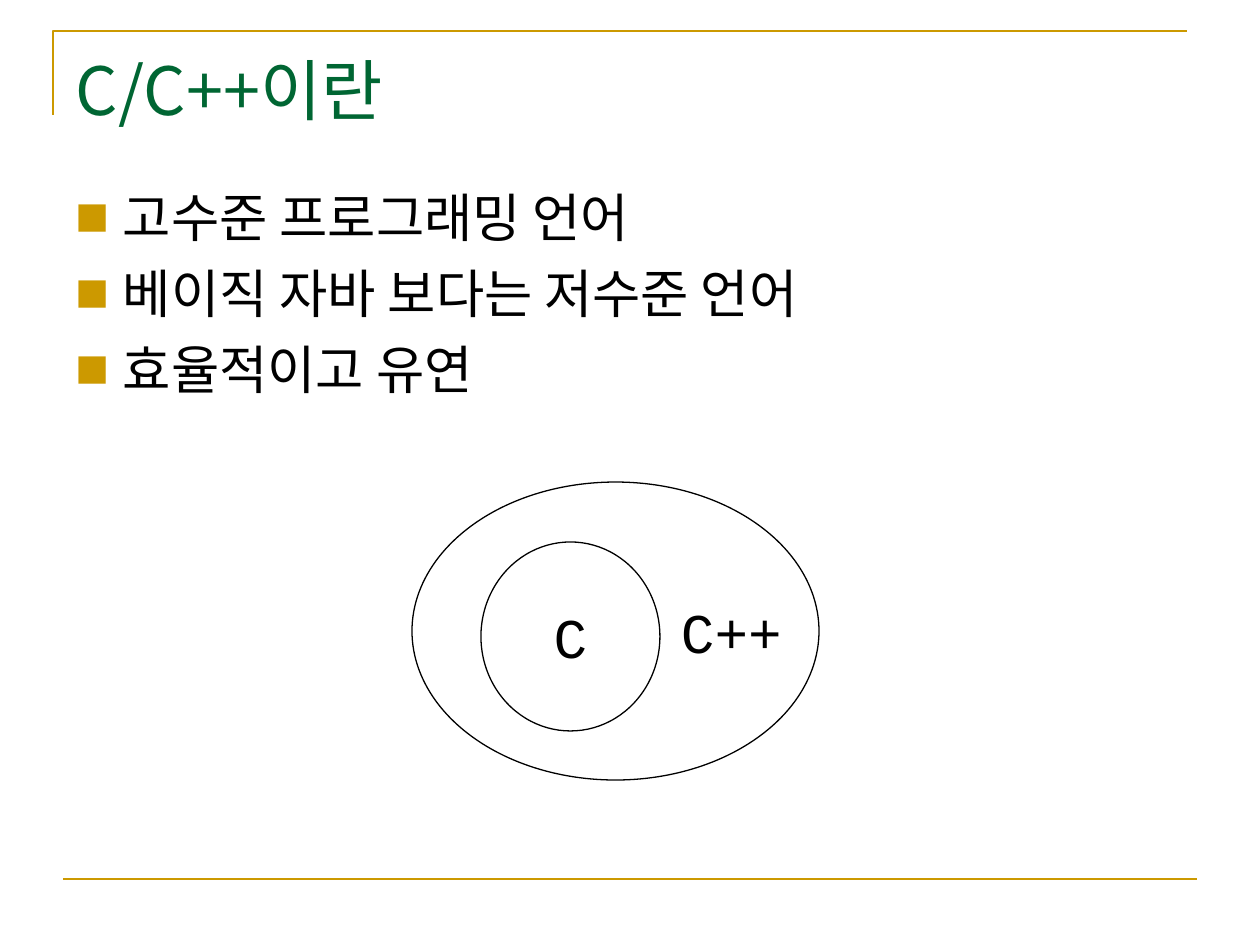
from lxml import etree
from pptx import Presentation
from pptx.dml.color import RGBColor
from pptx.enum.shapes import MSO_CONNECTOR, MSO_SHAPE
from pptx.enum.text import MSO_ANCHOR, PP_ALIGN
from pptx.oxml.ns import qn
from pptx.util import Emu, Pt

STRAIGHT, OVAL = MSO_CONNECTOR.STRAIGHT, MSO_SHAPE.OVAL
TOP, MIDDLE, BOTTOM = MSO_ANCHOR.TOP, MSO_ANCHOR.MIDDLE, MSO_ANCHOR.BOTTOM
LEFT, CENTER = PP_ALIGN.LEFT, PP_ALIGN.CENTER

# Content
TITLE = "C/C++이란"
POINTS = ["고수준 프로그래밍 언어", "베이직 자바 보다는 저수준 언어", "효율적이고 유연"]
# label, box, left inset (moves the outer label clear of the inner set)
SETS = [
    ("C", (481, 542, 179, 189), 13),
    ("C++", (412, 482, 407, 298), 245),
]

# Layout in px
SLIDE = (1260, 945)
CORNER = [(53, 115), (53, 31), (1187, 31)]
FOOT_RULE = (63, 879, 1197, 879)
TITLE_BOX = (63, 38, 1172, 97)
BODY_BOX = (63, 185, 1172, 694)
INSET_X, INSET_Y, HANGING = 13, 6, 47

THEME = {
    "gold": RGBColor(0xCC, 0x99, 0x00),
    "green": RGBColor(0x00, 0x66, 0x33),
    "black": RGBColor(0, 0, 0),
    "sans": "Noto Sans CJK KR",
    "mono": "Courier New",
    "title": 38, "body": 30, "label": 32,
    "rule": 1.5, "outline": 0.75,
}


def px(n):
    return Emu(n * 914400 // 126)


def set_line(s, color, width):
    s.line.color.rgb = THEME[color]
    s.line.width = Pt(THEME[width])


def set_frame(tf, **values):
    for name, value in values.items():
        setattr(tf, name, value)


def write(p, text, size, font, color, align=LEFT):
    p.alignment = align
    r = p.add_run()
    r.text = text
    r.font.size = Pt(THEME[size])
    r.font.name = THEME[font]
    r.font.color.rgb = THEME[color]
    etree.SubElement(r.font._element, qn("a:ea"), typeface=THEME[font])


def add_bullet(p):
    pPr = p._p.get_or_add_pPr()
    pPr.set("marL", str(px(HANGING)))
    pPr.set("indent", str(-px(HANGING)))
    clr = etree.SubElement(pPr, qn("a:buClr"))
    etree.SubElement(clr, qn("a:srgbClr"), val=str(THEME["gold"]))
    etree.SubElement(pPr, qn("a:buSzPct"), val="65000")
    etree.SubElement(pPr, qn("a:buFont"), typeface=THEME["sans"])
    etree.SubElement(pPr, qn("a:buChar"), char="■")


prs = Presentation()
prs.slide_width, prs.slide_height = map(px, SLIDE)
shapes = prs.slides.add_slide(prs.slide_layouts[6]).shapes

# Corner frame and foot rule
start, *rest = [(px(x), px(y)) for x, y in CORNER]
fb = shapes.build_freeform(*start)
fb.add_line_segments(rest, close=False)
corner = fb.convert_to_shape()
corner.fill.background()
corner.shadow.inherit = False
set_line(corner, "gold", "rule")

foot = shapes.add_connector(STRAIGHT, *map(px, FOOT_RULE))
set_line(foot, "gold", "rule")
etree.SubElement(foot._element.spPr, qn("a:effectLst"))

# Title
tf = shapes.add_textbox(*map(px, TITLE_BOX)).text_frame
set_frame(tf, word_wrap=True, vertical_anchor=BOTTOM,
          margin_left=px(INSET_X), margin_bottom=px(INSET_Y))
write(tf.paragraphs[0], TITLE, "title", "sans", "green")

# Bullet points
tf = shapes.add_textbox(*map(px, BODY_BOX)).text_frame
set_frame(tf, word_wrap=True, vertical_anchor=TOP,
          margin_left=px(INSET_X), margin_top=0)
for i, point in enumerate(POINTS):
    p = tf.add_paragraph() if i else tf.paragraphs[0]
    p.line_spacing = Pt(36)
    p.space_before = Pt(7.5)
    add_bullet(p)
    write(p, point, "body", "sans", "black")

# Nested sets
for label, box, inset in SETS:
    s = shapes.add_shape(OVAL, *map(px, box))
    s.fill.background()
    s.shadow.inherit = False
    set_line(s, "black", "outline")
    set_frame(s.text_frame, word_wrap=False, vertical_anchor=MIDDLE,
              margin_left=px(inset), margin_right=px(INSET_X))
    write(s.text_frame.paragraphs[0], label, "label", "mono", "black", CENTER)

prs.save("out.pptx")
